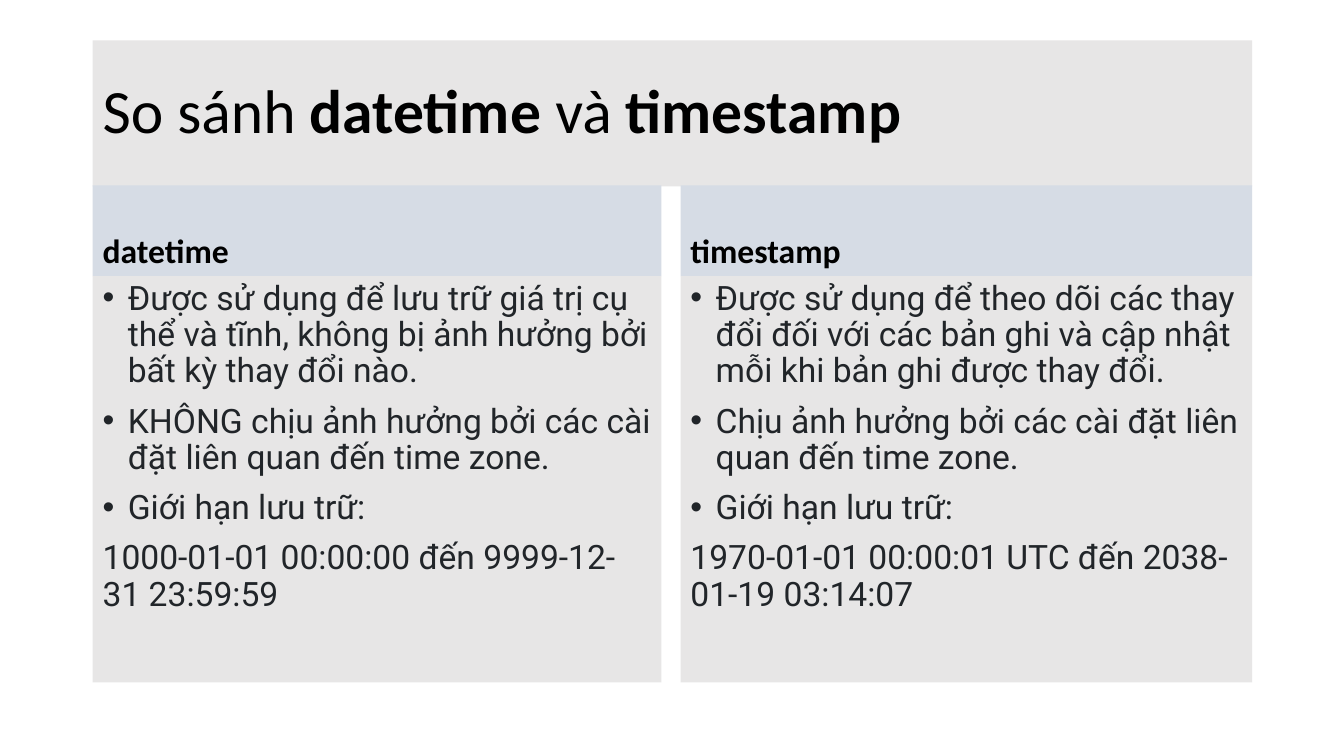
from lxml.etree import SubElement
from pptx import Presentation
from pptx.dml.color import RGBColor
from pptx.enum.shapes import MSO_SHAPE
from pptx.enum.text import MSO_ANCHOR, PP_ALIGN
from pptx.oxml.ns import qn
from pptx.util import Inches, Pt


def add_panel(left, top, width, height, fill, anchor):
    """Add a filled rectangle and return its text frame."""
    shape = slide.shapes.add_shape(
        MSO_SHAPE.RECTANGLE, Inches(left), Inches(top), Inches(width), Inches(height))
    shape.shadow.inherit = False
    shape.fill.solid()
    shape.fill.fore_color.rgb = RGBColor.from_string(fill)
    shape.line.fill.background()
    shape.text_frame.word_wrap = True
    shape.text_frame.vertical_anchor = anchor
    return shape.text_frame


def style_paragraph(paragraph, font_name, size, color, space_before=10):
    """Set the spacing, alignment and font of a paragraph."""
    paragraph.alignment = PP_ALIGN.LEFT
    paragraph.line_spacing = 0.9
    paragraph.space_before = Pt(space_before)
    paragraph.font.name = font_name
    paragraph.font.size = Pt(size)
    paragraph.font.color.rgb = RGBColor.from_string(color)


GRAY, BLUE, BLACK, DARK = "E7E6E6", "D6DCE5", "000000", "212529"

presentation = Presentation()
presentation.slide_width = Inches(13.33)
presentation.slide_height = Inches(7.5)
slide = presentation.slides.add_slide(presentation.slide_layouts[6])

title = add_panel(0.92, 0.4, 11.5, 1.45, GRAY, MSO_ANCHOR.MIDDLE).paragraphs[0]
style_paragraph(title, "Calibri", 44, BLACK, space_before=0)
for text, bold in [("So sánh ", False), ("datetime ", True), ("và ", False), ("timestamp", True)]:
    run = title.add_run()
    run.text = text
    run.font.bold = bold

columns = [
    (0.92, 5.64, "datetime", [
        "Được sử dụng để lưu trữ giá trị cụ thể và tĩnh, "
        "không bị ảnh hưởng bởi bất kỳ thay đổi nào.",
        "KHÔNG chịu ảnh hưởng bởi các cài đặt liên quan đến time zone.",
        "Giới hạn lưu trữ:",
    ], "1000-01-01 00:00:00 đến 9999-12-31 23:59:59"),
    (6.75, 5.67, "timestamp", [
        "Được sử dụng để theo dõi các thay đổi đối với các bản ghi "
        "và cập nhật mỗi khi bản ghi được thay đổi.",
        "Chịu ảnh hưởng bởi các cài đặt liên quan đến time zone.",
        "Giới hạn lưu trữ:",
    ], "1970-01-01 00:00:01 UTC đến 2038-01-19 03:14:07"),
]

for left, width, heading_text, bullets, storage_range in columns:
    heading = add_panel(left, 1.84, width, 0.9, BLUE, MSO_ANCHOR.BOTTOM).paragraphs[0]
    heading.text = heading_text
    style_paragraph(heading, "Calibri", 24, BLACK)
    heading.font.bold = True

    body = add_panel(left, 2.74, width, 4.03, GRAY, MSO_ANCHOR.TOP)
    body.text = "\n".join(bullets + [storage_range])
    for paragraph in body.paragraphs:
        style_paragraph(paragraph, "Roboto", 24, DARK)
    for paragraph in body.paragraphs[:len(bullets)]:
        properties = paragraph._p.get_or_add_pPr()
        properties.set("marL", str(Inches(0.25)))
        properties.set("indent", str(Inches(-0.25)))
        bullet_font = SubElement(properties, qn("a:buFont"))
        bullet_font.set("typeface", "Arial")
        bullet = SubElement(properties, qn("a:buChar"))
        bullet.set("char", "•")
        # Bullet elements must come before the default run properties.
        properties.append(properties.find(qn("a:defRPr")))

presentation.save("out.pptx")
